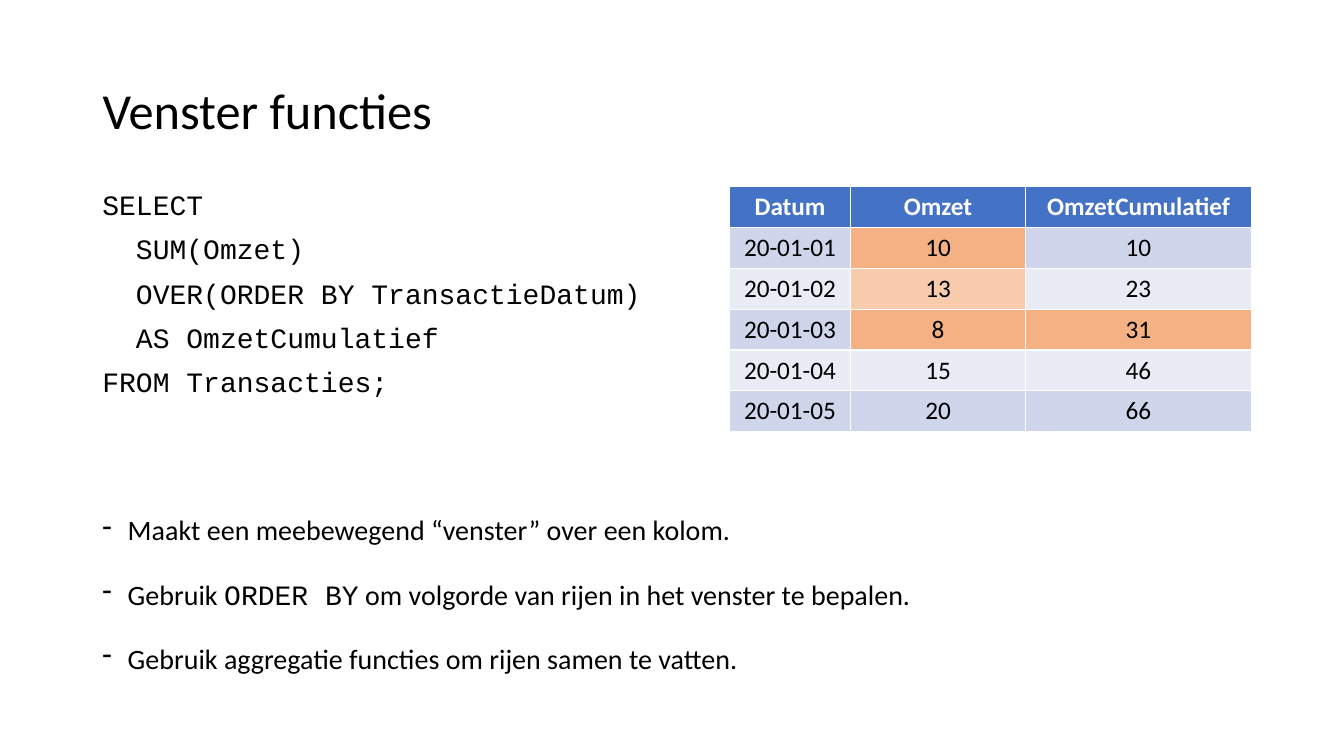
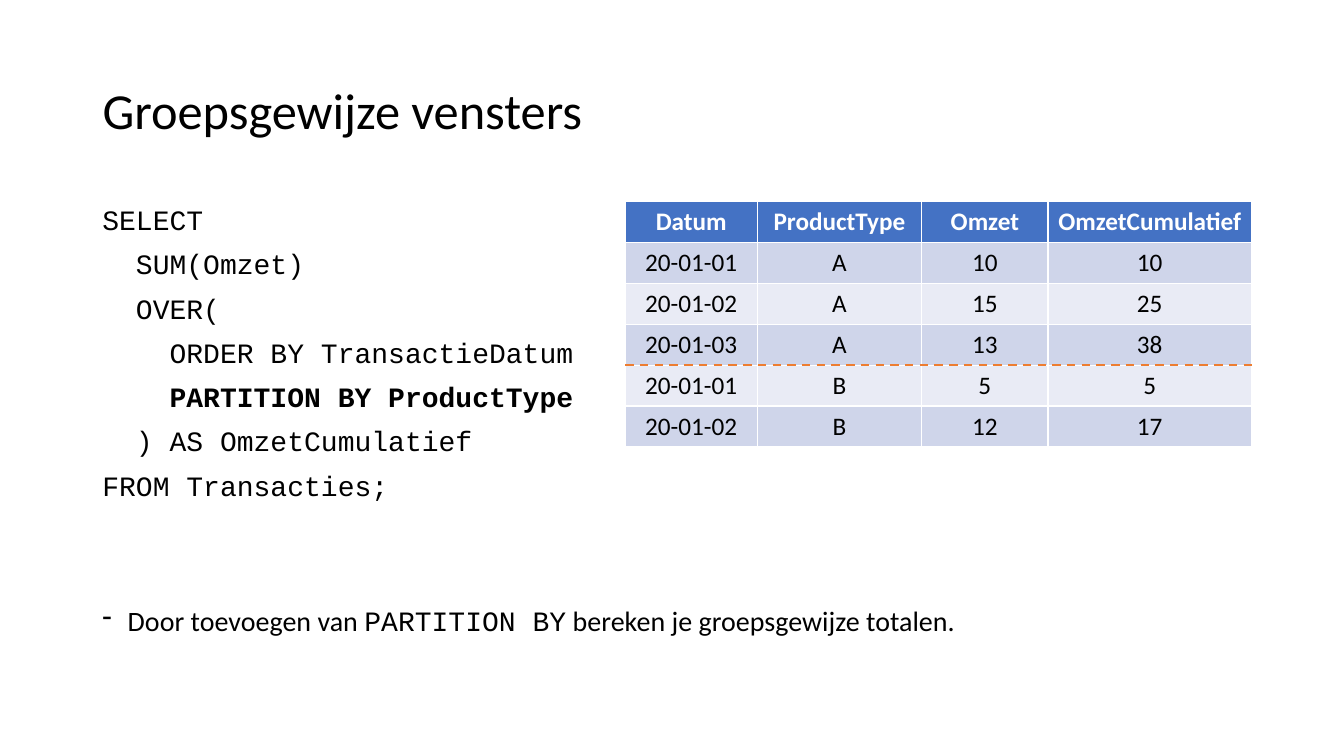
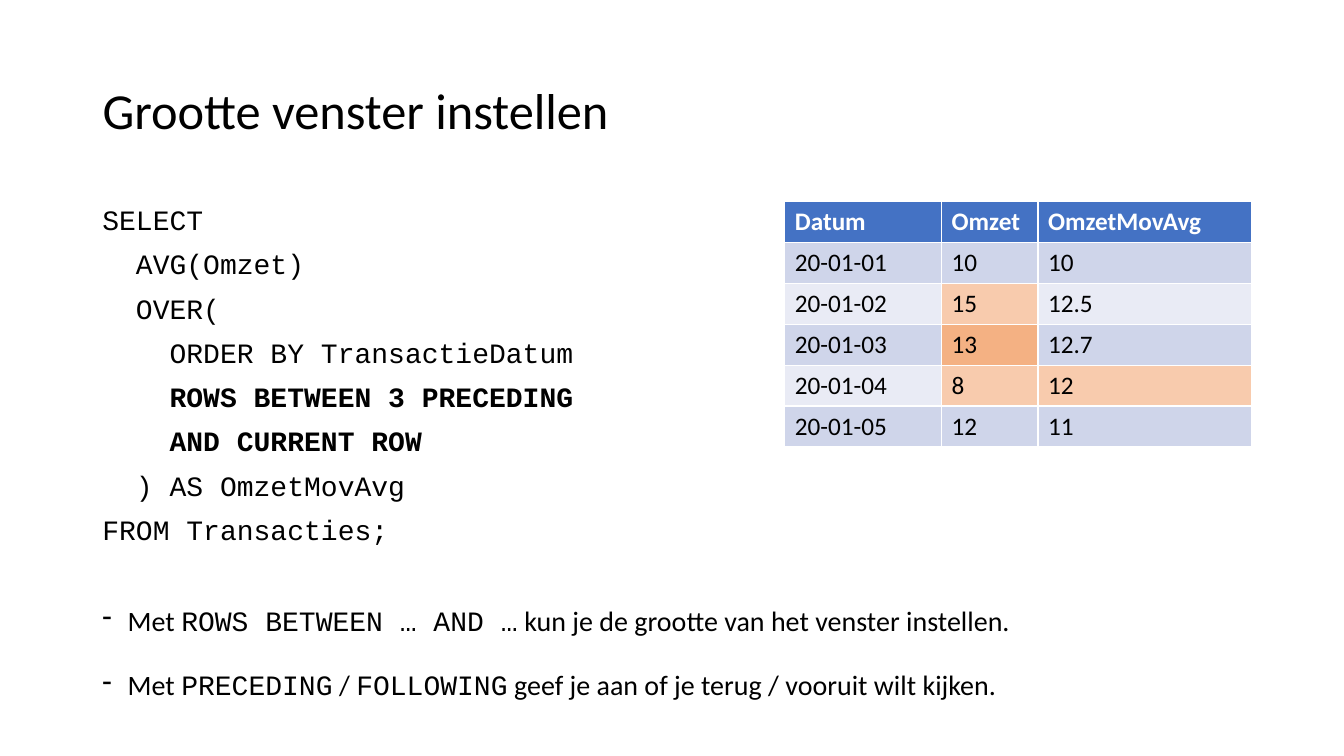
from pptx import Presentation
from pptx import util as u
from pptx.dml import color as col
from pptx.enum import dml, shapes, text
from pptx.oxml import ns
from lxml import etree

Cm, Pt = u.Cm, u.Pt
SANS, MONO = "Calibri", "Courier New"
BLACK, WHITE, HEAD = "000000", "FFFFFF", "4472C4"
BANDS = ("CFD5EA", "E9EBF5")
DEEP, PALE, DASH = "F4B183", "F8CBAD", "ED7D31"
LEFT, WIDE = 2.33, 29.21
RIGHT = LEFT + WIDE
ROW = 1.03


def rgb(code):
    return col.RGBColor.from_string(code)


def style(font, size, name=None, color=BLACK, bold=False):
    font.size, font.bold = Pt(size), bold
    font.color.rgb = rgb(color)
    if name:
        font.name = name


def add_title(slide, words):
    title = slide.shapes.title
    title.left, title.top = Cm(LEFT), Cm(1.02)
    title.width, title.height = Cm(WIDE), Cm(3.68)
    frame = title.text_frame
    frame.text = words
    frame.vertical_anchor = text.MSO_ANCHOR.MIDDLE
    para = frame.paragraphs[0]
    para.alignment = text.PP_ALIGN.LEFT
    para.line_spacing = 0.9
    style(para.font, 36, SANS)


def add_paras(slide, box, count, spacing):
    """Add a text box and return its evenly spaced paragraphs."""
    frame = slide.shapes.add_textbox(*map(Cm, box)).text_frame
    frame.word_wrap = True
    for i in range(count):
        para = frame.add_paragraph() if i else frame.paragraphs[0]
        para.line_spacing = spacing
        para.space_before = Pt(10 if i else 0)
    return frame.paragraphs


def add_code(slide, box, code, bold=()):
    lines = code.strip().split("\n")
    for i, para in enumerate(add_paras(slide, box, len(lines), 0.9)):
        para.add_run().text = lines[i]
        style(para.font, 20, MONO, bold=i in bold)


def add_points(slide, box, points):
    """Add dashed points; text between backticks is set as code."""
    for para, point in zip(add_paras(slide, box, len(points), 1.5), points):
        props = para._p.get_or_add_pPr()
        props.set("marL", str(Cm(0.64)))
        props.set("indent", str(-Cm(0.64)))
        etree.SubElement(props, ns.qn("a:buChar")).set("char", "-")
        parts = point.split("`")
        style(para.font, 20, SANS if len(parts) == 1 else None)
        for i, part in enumerate(parts):
            run = para.add_run()
            run.text = part
            if len(parts) > 1:
                run.font.name = MONO if i % 2 else SANS


def add_grid(slide, top, widths, rows, marks=None, align=text.PP_ALIGN.CENTER):
    """Add a banded table against the right margin; return its left edge."""
    marks = marks or {}
    left = RIGHT - sum(widths)
    grid = slide.shapes.add_table(
        len(rows), len(widths), Cm(left), Cm(top),
        Cm(sum(widths)), Cm(ROW * len(rows))).table
    for c, width in enumerate(widths):
        grid.columns[c].width = Cm(width)
    for r, row in enumerate(rows):
        grid.rows[r].height = Cm(ROW)
        base = BANDS[(r - 1) % 2] if r else HEAD
        for c, word in enumerate(row.split()):
            cell = grid.cell(r, c)
            cell.text = word
            cell.fill.solid()
            cell.fill.fore_color.rgb = rgb(marks.get((r, c), base))
            para = cell.text_frame.paragraphs[0]
            para.alignment = align
            style(para.font, 18, SANS, BLACK if r else WHITE, not r)
    return left


def add_split(slide, left, top):
    """Draw a dashed line from left to the right margin."""
    line = slide.shapes.add_connector(
        shapes.MSO_CONNECTOR.STRAIGHT, Cm(left), Cm(top), Cm(RIGHT), Cm(top))
    line.line.color.rgb = rgb(DASH)
    line.line.width = Pt(1.5)
    line.line.dash_style = dml.MSO_LINE.DASH
    etree.SubElement(line._element.spPr, ns.qn("a:effectLst"))


def new_slide(deck, title):
    slide = deck.slides.add_slide(deck.slide_layouts[5])
    add_title(slide, title)
    return slide


def window(deck):
    slide = new_slide(deck, "Venster functies")
    top = 4.7
    add_code(slide, (LEFT, top, 16.05, 6.17), """
SELECT
  SUM(Omzet)
  OVER(ORDER BY TransactieDatum)
  AS OmzetCumulatief
FROM Transacties;
""")
    add_points(slide, (LEFT, 12.37, WIDE, 4.78), [
        "Maakt een meebewegend “venster” over een kolom.",
        "Gebruik `ORDER BY` om volgorde van rijen in het venster te bepalen.",
        "Gebruik aggregatie functies om rijen samen te vatten."])
    add_grid(slide, top, (3.06, 4.4, 5.7), [
        "Datum Omzet OmzetCumulatief",
        "20-01-01 10 10",
        "20-01-02 13 23",
        "20-01-03 8 31",
        "20-01-04 15 46",
        "20-01-05 20 66"],
        {(1, 1): DEEP, (2, 1): PALE, (3, 1): DEEP, (3, 2): DEEP})


def groups(deck):
    slide = new_slide(deck, "Groepsgewijze vensters")
    top = 5.08
    add_code(slide, (LEFT, top, 13.43, 8.71), """
SELECT
  SUM(Omzet)
  OVER(
    ORDER BY TransactieDatum
    PARTITION BY ProductType
  ) AS OmzetCumulatief
FROM Transacties;
""", bold=(4,))
    add_points(slide, (LEFT, 14.66, WIDE, 1.7), [
        "Door toevoegen van `PARTITION BY` bereken je groepsgewijze totalen."])
    left = add_grid(slide, top, (3.32, 4.15, 3.18, 5.13), [
        "Datum ProductType Omzet OmzetCumulatief",
        "20-01-01 A 10 10",
        "20-01-02 A 15 25",
        "20-01-03 A 13 38",
        "20-01-01 B 5 5",
        "20-01-02 B 12 17"])
    # Line between product types A and B
    add_split(slide, left, top + 4 * ROW)


def frames(deck):
    slide = new_slide(deck, "Grootte venster instellen")
    top = 5.08
    add_code(slide, (LEFT, top, 16.28, 9.25), """
SELECT
  AVG(Omzet)
  OVER(
    ORDER BY TransactieDatum
    ROWS BETWEEN 3 PRECEDING
    AND CURRENT ROW
  ) AS OmzetMovAvg
FROM Transacties;
""", bold=(4, 5))
    add_points(slide, (LEFT, 14.66, WIDE, 3.4), [
        "Met `ROWS BETWEEN … AND …` kun je de grootte van het venster instellen.",
        "Met `PRECEDING` / `FOLLOWING` geef je aan of je terug / vooruit wilt kijken."])
    add_grid(slide, top, (3.95, 2.43, 5.38), [
        "Datum Omzet OmzetMovAvg",
        "20-01-01 10 10",
        "20-01-02 15 12.5",
        "20-01-03 13 12.7",
        "20-01-04 8 12",
        "20-01-05 12 11"],
        {(2, 1): PALE, (3, 1): DEEP, (4, 1): PALE, (4, 2): PALE},
        text.PP_ALIGN.LEFT)


def main():
    deck = Presentation()
    deck.slide_width, deck.slide_height = Cm(33.87), Cm(19.05)
    for build in (window, groups, frames):
        build(deck)
    deck.save("out.pptx")


if __name__ == "__main__":
    main()
